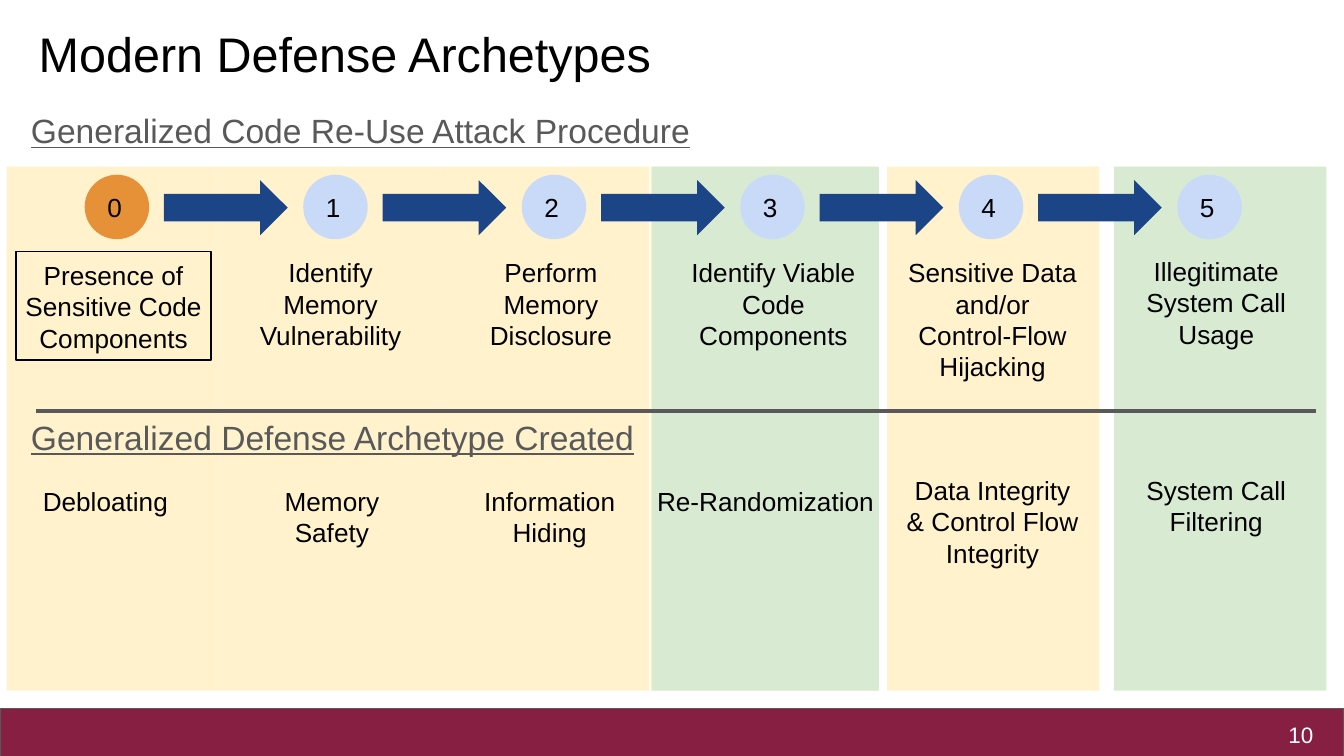
from dataclasses import dataclass
from lxml import etree
from pptx import Presentation
from pptx.dml.color import RGBColor
from pptx.enum.shapes import MSO_CONNECTOR, MSO_SHAPE
from pptx.enum.text import MSO_ANCHOR, PP_ALIGN
from pptx.oxml.ns import qn
from pptx.util import Inches, Pt

RECT, OVAL, ARROW = MSO_SHAPE.RECTANGLE, MSO_SHAPE.OVAL, MSO_SHAPE.RIGHT_ARROW
LEFT, MID, RIGHT = PP_ALIGN.LEFT, PP_ALIGN.CENTER, PP_ALIGN.RIGHT
TOP, CENTER = MSO_ANCHOR.TOP, MSO_ANCHOR.MIDDLE
STRAIGHT = MSO_CONNECTOR.STRAIGHT


@dataclass(frozen=True)
class Theme:
    font: str = "Arial"
    black: str = "000000"
    white: str = "FFFFFF"
    gray: str = "595959"
    maroon: str = "861F41"
    cream: str = "FFF2CC"
    green: str = "D9EAD3"
    blue: str = "C9DAF8"
    navy: str = "1C4587"
    orange: str = "E69138"
    title: int = 26
    head: int = 18
    body: int = 14
    page: int = 12


theme = Theme()
deck = Presentation()
deck.slide_width = Inches(10)
deck.slide_height = deck.slide_width * 9 // 16
slide = deck.slides.add_slide(deck.slide_layouts[6])


def draw(kind, box, fill=None, line=None):
    """Add a preset shape, or a text box when kind is None."""
    area = [Inches(n) for n in box]
    if kind is None:
        return slide.shapes.add_textbox(*area)
    shape = slide.shapes.add_shape(kind, *area)
    shape.shadow.inherit = False
    if fill:
        shape.fill.solid()
        shape.fill.fore_color.rgb = RGBColor.from_string(fill)
    else:
        shape.fill.background()
    if line:
        shape.line.color.rgb = RGBColor.from_string(line)
        shape.line.width = Pt(0.75)
    else:
        shape.line.fill.background()
    return shape


def write(shape, text, size=theme.body, color=theme.black, align=MID,
          anchor=TOP, inset=(0.1, 0.1, 0.1, 0.1), under=None):
    """Set the text of a shape; inset is left, top, right, bottom."""
    frame = shape.text_frame
    frame.text = text
    frame.word_wrap = True
    frame.vertical_anchor = anchor
    frame.margin_left, frame.margin_top, frame.margin_right, frame.margin_bottom = map(Inches, inset)
    for para in frame.paragraphs:
        para.alignment = align
        for run in para.runs:
            run.font.name = theme.font
            run.font.size = Pt(size)
            run.font.underline = under
            run.font.color.rgb = RGBColor.from_string(color)


# Footer and column bands
draw(RECT, (0, 5.27, 10, 0.37), theme.maroon, theme.gray)
page = draw(None, (9.27, 5.28, 0.6, 0.37))
write(page, "10", theme.page, theme.white, RIGHT, CENTER)

bands = [
    (8.29, 1.58, theme.green),
    (4.84, 1.69, theme.cream),
    (6.6, 1.58, theme.cream),
    (4.85, 1.69, theme.green),
    (3.33, 1.5, theme.cream),
    (1.64, 1.69, theme.cream),
    (0.05, 1.59, theme.cream),
]
for left, width, fill in bands:
    draw(RECT, (left, 1.24, width, 3.9), fill)

# Headings
title = draw(None, (0.19, 0.08, 6.44, 0.63))
write(title, "Modern Defense Archetypes", theme.title, align=LEFT, anchor=CENTER)
heads = [
    (0.79, 0.54, "Generalized Code Re-Use Attack Procedure"),
    (3.07, 0.44, "Generalized Defense Archetype Created"),
]
for top, height, text in heads:
    head = draw(None, (0.19, top, 5.29, height))
    write(head, text, theme.head, theme.gray, LEFT, inset=(0.04, 0.03, 0.03, 0.03), under=True)

# Numbered steps joined by arrows
count = 6
step = (8.76 - 0.63) / (count - 1)
for i in range(count):
    fill = theme.blue if i else theme.orange
    dot = draw(OVAL, (0.63 + i * step, 1.3, 0.48, 0.48), fill)
    write(dot, str(i), align=LEFT, anchor=CENTER)
    if i < count - 1:
        draw(ARROW, (1.22 + i * step, 1.34, 0.92, 0.41), theme.navy)

# Outlined first attack step
first = draw(RECT, (0.12, 1.87, 1.45, 0.81), line=theme.black)
write(first, "Presence of Sensitive Code Components", inset=(0.02, 0.06, 0.02, 0.1))

# Remaining attack steps above, defenses below
labels = [
    (1.82, 1.81, 1.28, 0.81, MID, "Identify\nMemory\nVulnerability"),
    (3.46, 1.81, 1.28, 0.81, MID, "Perform\nMemory\nDisclosure"),
    (5.03, 1.81, 1.45, 0.81, MID, "Identify Viable\nCode Components"),
    (6.54, 1.81, 1.69, 0.81, MID, "Sensitive Data\nand/or\nControl-Flow\nHijacking"),
    (8.41, 1.8, 1.28, 0.81, MID, "Illegitimate\nSystem Call\nUsage"),
    (0.22, 3.51, 1.24, 0.48, LEFT, "Debloating"),
    (1.85, 3.51, 1.24, 0.63, MID, "Memory Safety"),
    (3.47, 3.51, 1.24, 0.63, MID, "Information Hiding"),
    (4.79, 3.51, 1.82, 0.48, LEFT, "Re-Randomization"),
    (6.54, 3.43, 1.69, 1.09, MID, "Data Integrity\n& Control Flow\nIntegrity"),
    (8.43, 3.43, 1.24, 0.97, MID, "System Call Filtering"),
]
for *box, align, text in labels:
    write(draw(None, box), text, align=align)

# Divider
rule = slide.shapes.add_connector(STRAIGHT, Inches(0.27), Inches(3.06), Inches(9.79), Inches(3.06))
rule.line.color.rgb = RGBColor.from_string(theme.gray)
rule.line.width = Pt(2.25)
etree.SubElement(rule._element.spPr, qn("a:effectLst"))

deck.save("out.pptx")
